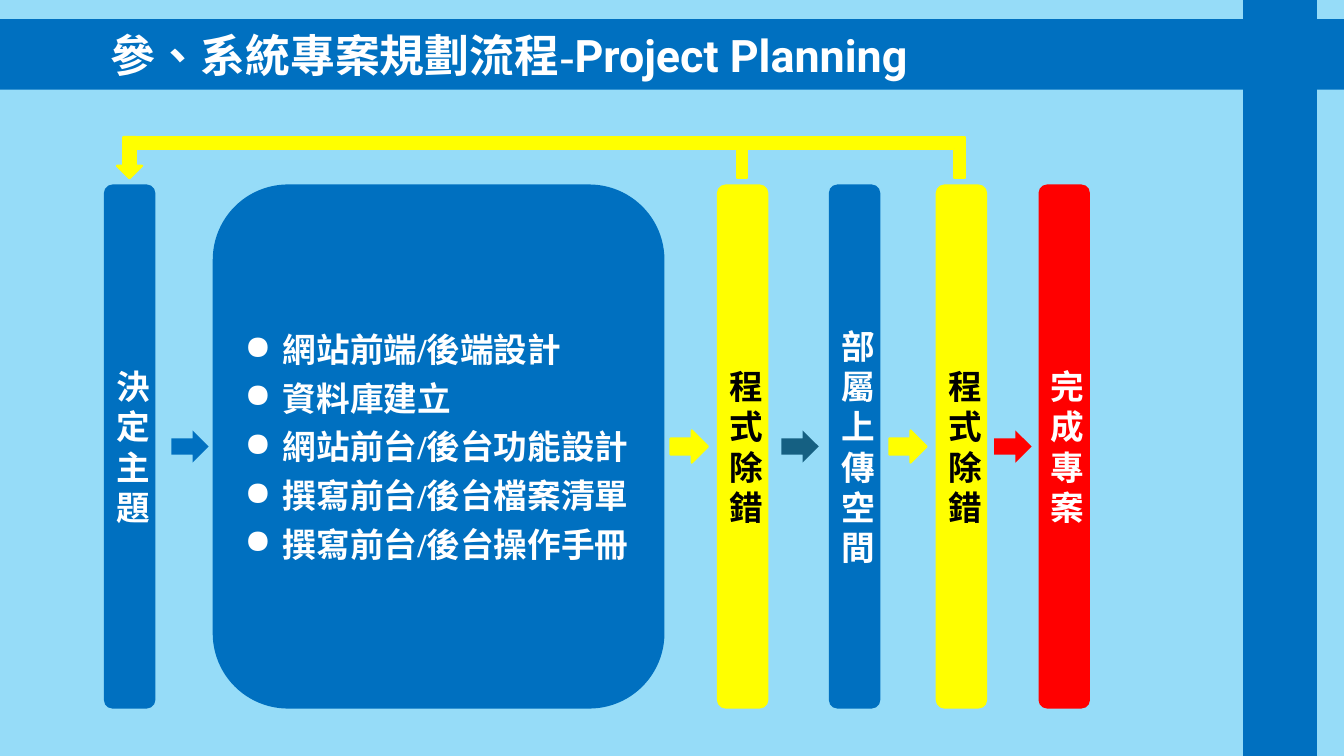
from lxml import etree
from pptx import Presentation
from pptx.dml.color import RGBColor
from pptx.enum.lang import MSO_LANGUAGE_ID
from pptx.enum.shapes import MSO_SHAPE
from pptx.enum.text import MSO_ANCHOR, MSO_AUTO_SIZE, PP_ALIGN
from pptx.oxml.ns import qn
from pptx.util import Inches, Pt

ROUND, RECT, ELL = MSO_SHAPE.ROUNDED_RECTANGLE, MSO_SHAPE.RECTANGLE, MSO_SHAPE.CORNER
RIGHT, DOWN = MSO_SHAPE.RIGHT_ARROW, MSO_SHAPE.DOWN_ARROW
LEFT, CENTER, MIDDLE = PP_ALIGN.LEFT, PP_ALIGN.CENTER, MSO_ANCHOR.MIDDLE
FIXED, TAIWAN = MSO_AUTO_SIZE.NONE, MSO_LANGUAGE_ID.TRADITIONAL_CHINESE

SKY = RGBColor(0x96, 0xDC, 0xF8)
BLUE = RGBColor(0x00, 0x70, 0xC0)
TEAL = RGBColor(0x15, 0x60, 0x82)
YELLOW = RGBColor(0xFF, 0xFF, 0x00)
RED = RGBColor(0xFF, 0x00, 0x00)
WHITE = RGBColor(0xFF, 0xFF, 0xFF)
BLACK = RGBColor(0x00, 0x00, 0x00)

WIDE, HIGH = Inches(13.33), Inches(7.5)
SERIF, SANS = "Times New Roman", "Roboto"
TOP, TALL, SLIM = 24.4, 69.33, 3.83

STEPS = [
    (7.73, "決定主題", BLUE, WHITE),
    (53.34, "程式除錯", YELLOW, BLACK),
    (61.67, "部屬上傳空間", BLUE, WHITE),
    (69.62, "程式除錯", YELLOW, BLACK),
    (77.27, "完成專案", RED, WHITE),
]
ARROWS = [
    (12.75, BLUE, False),
    (49.89, YELLOW, True),
    (58.14, TEAL, False),
    (66.17, YELLOW, True),
    (73.97, RED, False),
]
TASKS = [
    "網站前端/後端設計",
    "資料庫建立",
    "網站前台/後台功能設計",
    "撰寫前台/後台檔案清單",
    "撰寫前台/後台操作手冊",
]


def scale(left, top, width, height):
    """Turn percentages of the slide's size into lengths."""
    return (int(WIDE * left / 100), int(HIGH * top / 100),
            int(WIDE * width / 100), int(HIGH * height / 100))


def block(slide, kind, box, fill, edge=False):
    """Add a flat preset shape, with an outline of its own colour if asked."""
    shape = slide.shapes.add_shape(kind, *scale(*box))
    shape.shadow.inherit = False
    shape.fill.solid()
    shape.fill.fore_color.rgb = fill
    if edge:
        shape.line.color.rgb = fill
        shape.line.width = Pt(1.5)
    else:
        shape.line.fill.background()
    return shape


def write(para, text, size=24, font=SERIF, color=WHITE, align=CENTER):
    """Append a bold run of text to a paragraph."""
    para.alignment = align
    run = para.add_run()
    run.text = text
    run.font.size = Pt(size)
    run.font.name = font
    run.font.bold = True
    run.font.color.rgb = color
    run.font.language_id = TAIWAN


def bullet(para):
    """Give a paragraph a hanging round bullet."""
    para.space_after = Pt(6)
    props = para._p.get_or_add_pPr()
    props.set("marL", str(Inches(0.38)))
    props.set("indent", str(-Inches(0.38)))
    etree.SubElement(props, qn("a:buChar")).set("char", "●")


def head(slide):
    """Format the title as a band across the slide."""
    title = slide.shapes.title
    title.left, title.top, title.width, title.height = scale(0, 2.53, 100, 9.33)
    title.fill.solid()
    title.fill.fore_color.rgb = BLUE
    frame = title.text_frame
    frame.auto_size = FIXED
    frame.vertical_anchor = MIDDLE
    frame.margin_left = Inches(1.1)
    para = frame.paragraphs[0]
    write(para, "參、系統專案規劃流程-", size=32, align=LEFT)
    write(para, "Project Planning", size=32, font=SANS, align=LEFT)


def tasks(slide):
    """Draw the rounded panel with the list of tasks."""
    panel = block(slide, ROUND, (15.83, TOP, 33.61, TALL), BLUE)
    frame = panel.text_frame
    frame.vertical_anchor = MIDDLE
    for i, text in enumerate(TASKS):
        para = frame.add_paragraph() if i else frame.paragraphs[0]
        write(para, text, align=LEFT)
        bullet(para)


def flow(slide):
    """Draw the upright steps and the arrows between them."""
    for left, text, fill, color in STEPS:
        step = block(slide, ROUND, (left, TOP, SLIM, TALL), fill)
        step.text_frame.vertical_anchor = MIDDLE
        write(step.text_frame.paragraphs[0], text, color=color)
    for left, fill, edge in ARROWS:
        block(slide, RIGHT, (left, 56.93, 2.78, 4.27), fill, edge)


def loop(slide):
    """Draw the path that leads back to the first step."""
    bend = block(slide, ELL, (9.68, 18.13, 62.12, 5.47), YELLOW, True)
    bend.rotation = 180
    bend.adjustments[0] = 0.28
    bend.adjustments[1] = 0.26
    block(slide, DOWN, (8.7, 18.13, 1.88, 5.47), YELLOW, True)
    block(slide, RECT, (54.84, 19.87, 0.75, 3.73), YELLOW, True)


def main():
    """Build the slide and save it."""
    deck = Presentation()
    deck.slide_width, deck.slide_height = WIDE, HIGH
    slide = deck.slides.add_slide(deck.slide_layouts.get_by_name("Title Only"))
    slide.background.fill.solid()
    slide.background.fill.fore_color.rgb = SKY
    block(slide, RECT, (92.5, 0, 5.48, 100), BLUE)
    head(slide)
    tasks(slide)
    flow(slide)
    loop(slide)
    deck.save("out.pptx")


if __name__ == "__main__":
    main()
